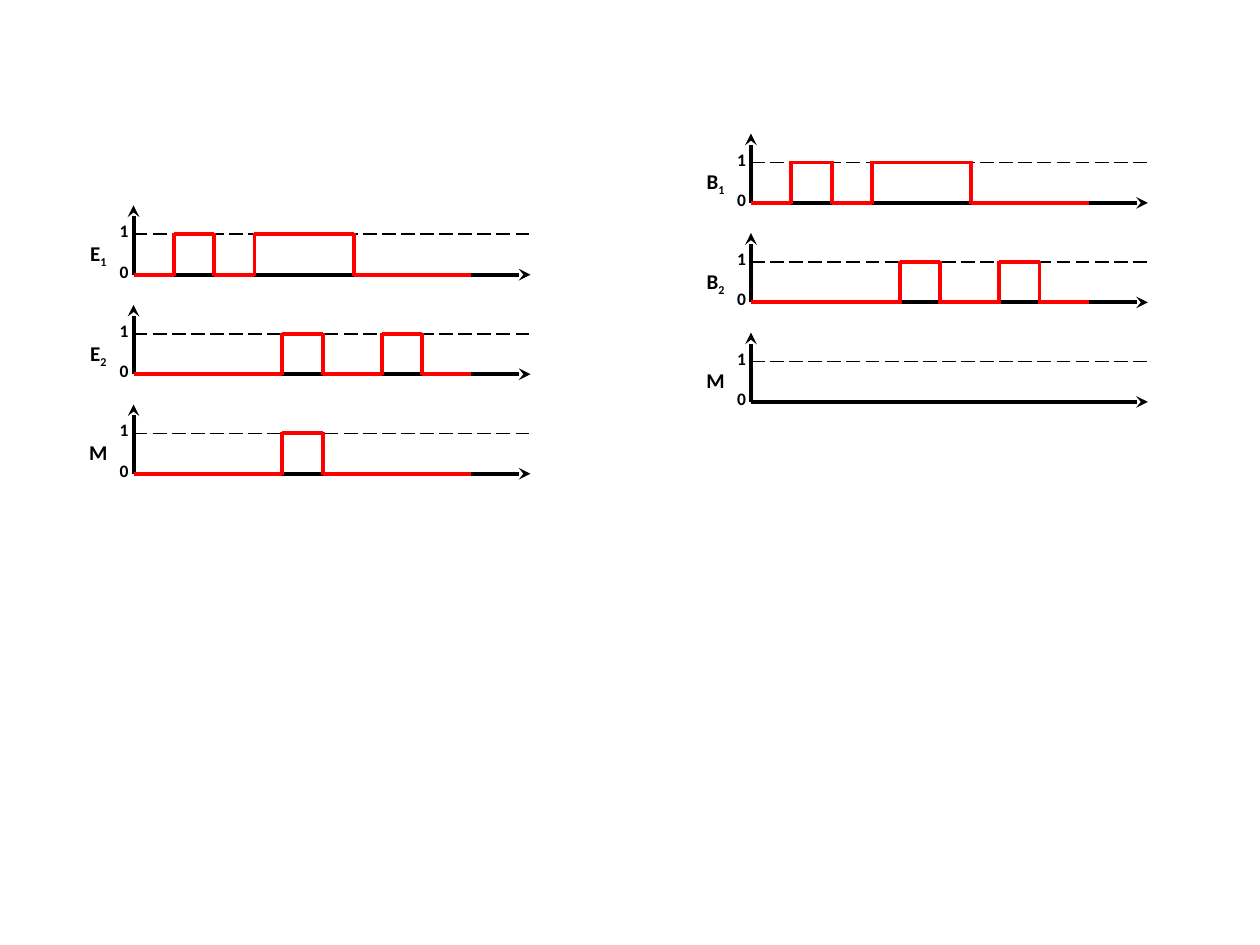
from pptx import Presentation
from pptx.dml.color import RGBColor
from pptx.enum.dml import MSO_LINE
from pptx.enum.shapes import MSO_CONNECTOR
from pptx.enum.text import MSO_AUTO_SIZE, PP_ALIGN
from pptx.oxml.ns import qn
from pptx.util import Inches, Pt
from lxml.etree import SubElement

BLACK = RGBColor(0x00, 0x00, 0x00)
RED = RGBColor(0xFF, 0x00, 0x00)

# Lengths in inches
ROW_PITCH = 0.79
HIGH = 0.32
AXIS_LENGTH = 3.15
AXIS_HEIGHT = 0.55
SIGNAL_END = 2.68

# Times at which each signal switches level, starting low
FIRST_EDGES = [0.32, 0.64, 0.96, 1.75]
SECOND_EDGES = [1.18, 1.5, 1.97, 2.29]
MOTOR_EDGES = [1.18, 1.5]

# Origin of the top axis, then name, subscript and edges of each row
DIAGRAMS = [
    (1.06, 2.18, [("E", "1", FIRST_EDGES), ("E", "2", SECOND_EDGES),
                  ("M", "", MOTOR_EDGES)]),
    (5.96, 1.61, [("B", "1", FIRST_EDGES), ("B", "2", SECOND_EDGES),
                  ("M", "", None)]),
]


def add_line(shapes, start, end, color=BLACK, width=2.25, dashed=False, arrow=False):
    line = shapes.add_connector(
        MSO_CONNECTOR.STRAIGHT, *(Inches(value) for value in (*start, *end)))
    line.line.color.rgb = color
    line.line.width = Pt(width)
    if dashed:
        line.line.dash_style = MSO_LINE.LONG_DASH
    properties = line._element.spPr
    if arrow:
        SubElement(properties.find(qn("a:ln")), qn("a:tailEnd"), type="stealth")
    SubElement(properties, qn("a:effectLst"))


def add_label(shapes, left, top, width, height, size, text, subscript=""):
    label = shapes.add_textbox(*(Inches(v) for v in (left, top, width, height)))
    frame = label.text_frame
    frame.word_wrap = False
    frame.auto_size = MSO_AUTO_SIZE.SHAPE_TO_FIT_TEXT
    paragraph = frame.paragraphs[0]
    paragraph.alignment = PP_ALIGN.CENTER
    paragraph.font.name = "Calibri"
    paragraph.font.size = Pt(size)
    paragraph.font.bold = True
    paragraph.font.color.rgb = BLACK
    paragraph.add_run().text = text
    if subscript:
        run = paragraph.add_run()
        run.text = subscript
        run._r.get_or_add_rPr().set("baseline", "-25000")


def add_axes(shapes, x, y):
    add_line(shapes, (x, y), (x, y - AXIS_HEIGHT), arrow=True)
    add_line(shapes, (x, y), (x + AXIS_LENGTH, y), arrow=True)
    add_line(shapes, (x, y - HIGH), (x + AXIS_LENGTH, y - HIGH), width=1, dashed=True)
    add_label(shapes, x - 0.23, y - 0.16, 0.31, 0.27, 10, "0")
    add_label(shapes, x - 0.23, y - 0.48, 0.31, 0.27, 10, "1")


def add_signal(shapes, x, y, edges):
    times = [0, *edges, SIGNAL_END]
    for index, (start, end) in enumerate(zip(times, times[1:])):
        level = y - HIGH * (index % 2)
        add_line(shapes, (x + start, level), (x + end, level), RED)
    for edge in edges:
        add_line(shapes, (x + edge, y + 0.01), (x + edge, y - HIGH - 0.01), RED)


def add_diagram(slide, x, top_axis, rows):
    shapes = slide.shapes.add_group_shape().shapes
    for index, (name, subscript, edges) in enumerate(rows):
        y = top_axis + index * ROW_PITCH
        add_axes(shapes, x, y)
        add_label(shapes, x - 0.48, y - 0.32, 0.4, 0.3, 12, name, subscript)
        if edges:
            add_signal(shapes, x, y, edges)


def main():
    presentation = Presentation()
    presentation.slide_width = Inches(10)
    presentation.slide_height = Inches(7.5)
    slide = presentation.slides.add_slide(presentation.slide_layouts[6])

    # Timing diagrams, left and right
    for x, top_axis, rows in DIAGRAMS:
        add_diagram(slide, x, top_axis, rows)

    presentation.save("out.pptx")


if __name__ == "__main__":
    main()
